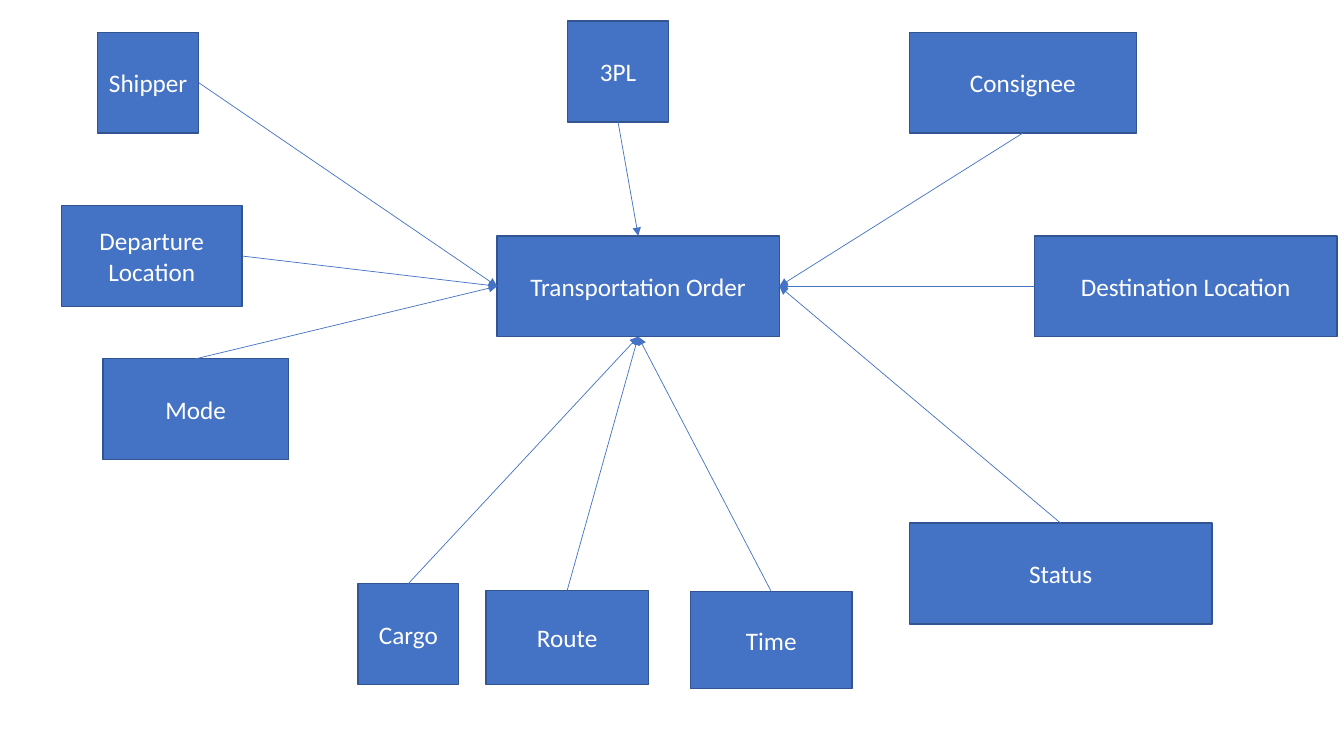
from lxml.etree import SubElement
from pptx import Presentation
from pptx.dml.color import RGBColor
from pptx.enum.shapes import MSO_CONNECTOR, MSO_SHAPE
from pptx.enum.text import MSO_ANCHOR, PP_ALIGN
from pptx.oxml.ns import qn
from pptx.util import Inches, Pt

COLORS = {"fill": "4472C4", "border": "325491", "text": "FFFFFF", "arrow": "4472C4"}
TOP, LEFT, BOTTOM, RIGHT = range(4)

presentation = Presentation()
presentation.slide_width = Inches(13.33)
presentation.slide_height = Inches(7.5)
slide = presentation.slides.add_slide(presentation.slide_layouts[6])


def add_box(text, left, top, width, height, font="Calibri", size=18):
    shape = slide.shapes.add_shape(
        MSO_SHAPE.RECTANGLE, Inches(left), Inches(top), Inches(width), Inches(height)
    )
    shape.shadow.inherit = False
    shape.fill.solid()
    shape.fill.fore_color.rgb = RGBColor.from_string(COLORS["fill"])
    shape.line.color.rgb = RGBColor.from_string(COLORS["border"])
    shape.line.width = Pt(1)
    frame = shape.text_frame
    frame.word_wrap = True
    frame.vertical_anchor = MSO_ANCHOR.MIDDLE
    paragraph = frame.paragraphs[0]
    paragraph.alignment = PP_ALIGN.CENTER
    run = paragraph.add_run()
    run.text = text
    run.font.name = font
    run.font.size = Pt(size)
    run.font.color.rgb = RGBColor.from_string(COLORS["text"])
    return shape


def add_arrow(source, source_side, target, target_side):
    connector = slide.shapes.add_connector(MSO_CONNECTOR.STRAIGHT, 0, 0, 0, 0)
    connector.begin_connect(source, source_side)
    connector.end_connect(target, target_side)
    connector.line.color.rgb = RGBColor.from_string(COLORS["arrow"])
    connector.line.width = Pt(0.5)
    SubElement(connector.line._get_or_add_ln(), qn("a:tailEnd"), type="triangle")
    SubElement(connector._element.spPr, qn("a:effectLst"))


order = add_box("Transportation Order", left=4.93, top=2.34, width=2.8, height=1)

related_boxes = [
    ("Shipper", 0.97, 0.32, 1, 1, RIGHT, LEFT),
    ("Consignee", 9.02, 0.32, 2.25, 1, BOTTOM, RIGHT),
    ("Destination Location", 10.26, 2.34, 3, 1, LEFT, RIGHT),
    ("Departure Location", 0.61, 2.04, 1.79, 1, RIGHT, LEFT),
    ("Mode", 1.02, 3.56, 1.84, 1, TOP, LEFT),
    ("Cargo", 3.55, 5.79, 1, 1, TOP, BOTTOM),
    ("Route", 4.82, 5.86, 1.61, 0.93, TOP, BOTTOM),
    ("Time", 6.85, 5.87, 1.6, 0.96, TOP, BOTTOM),
    ("Status", 9.02, 5.19, 3, 1, TOP, RIGHT),
    ("3PL", 5.63, 0.21, 1, 1, BOTTOM, TOP),
]
for text, left, top, width, height, box_side, order_side in related_boxes:
    box = add_box(text, left, top, width, height)
    add_arrow(box, box_side, order, order_side)

presentation.save("out.pptx")
